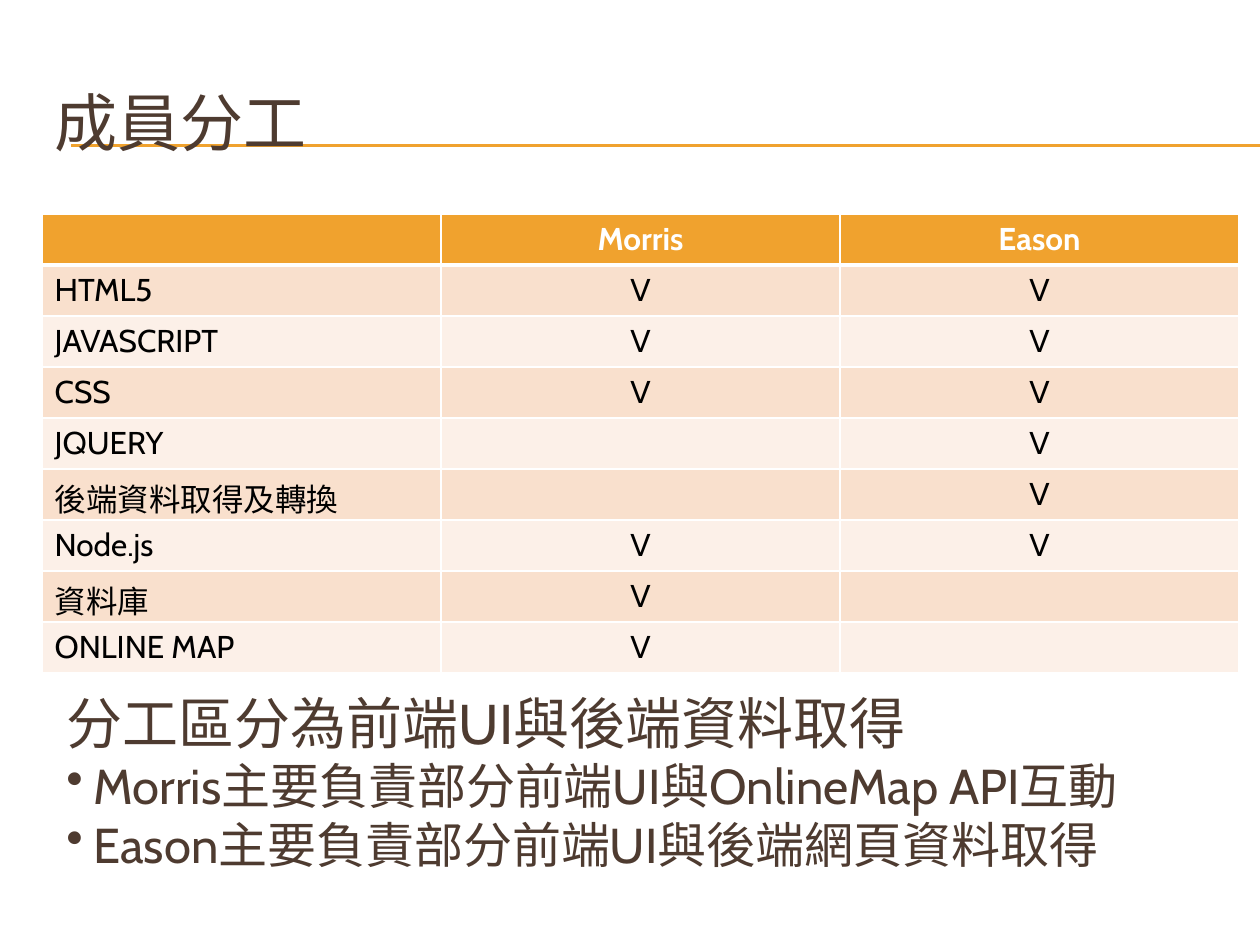
from dataclasses import dataclass

from lxml import etree
from pptx import Presentation
from pptx.dml.color import RGBColor
from pptx.enum.shapes import MSO_CONNECTOR
from pptx.enum.text import MSO_ANCHOR, PP_ALIGN
from pptx.oxml.ns import qn
from pptx.util import Emu, Pt

PX = 914400 // 126
LEFT, CENTER = PP_ALIGN.LEFT, PP_ALIGN.CENTER
TOP, MIDDLE = MSO_ANCHOR.TOP, MSO_ANCHOR.MIDDLE
STRAIGHT = MSO_CONNECTOR.STRAIGHT


@dataclass(frozen=True)
class Theme:
    font: str = "Cabin"
    ink: str = "4E3B30"
    cell_ink: str = "000000"
    accent: str = "F0A22E"
    white: str = "FFFFFF"
    bands: tuple = ("F9E0CD", "FCF0E8")
    title_size: int = 36
    lead_size: int = 32
    point_size: int = 28
    cell_size: int = 18
    rule_width: float = 0.75
    grid_width: int = 1
    header_rule_width: int = 3


def px(length):
    return Emu(length * PX)


def write(para, text, *, theme, size, color, bold=False, align=LEFT):
    para.alignment = align
    span = para.add_run()
    span.text = text
    span.font.name = theme.font
    span.font.size = Pt(size)
    span.font.bold = bold
    span.font.color.rgb = RGBColor.from_string(color)


def add_bullet(para, indent):
    properties = para._p.get_or_add_pPr()
    properties.set("marL", str(px(indent)))
    properties.set("indent", str(-px(indent)))
    etree.SubElement(properties, qn("a:buChar"), char="•")


def set_border(cell, side, width, color):
    line = etree.SubElement(cell._tc.get_or_add_tcPr(), qn(f"a:ln{side}"),
                            w=str(Pt(width)))
    fill = etree.SubElement(line, qn("a:solidFill"))
    etree.SubElement(fill, qn("a:srgbClr"), val=color)


class SlideBuilder:
    def __init__(self, slide, theme):
        self.slide = slide
        self.theme = theme

    def rule(self, left, right, y):
        line = self.slide.shapes.add_connector(
            STRAIGHT, px(left), px(y), px(right), px(y))
        line.line.color.rgb = RGBColor.from_string(self.theme.accent)
        line.line.width = Pt(self.theme.rule_width)
        etree.SubElement(line._element.spPr, qn("a:effectLst"))

    def text(self, left, top, width, height, lines, anchor=TOP):
        """Each line is (text, size, bullet indent or 0)."""
        box = self.slide.shapes.add_textbox(
            px(left), px(top), px(width), px(height))
        frame = box.text_frame
        frame.word_wrap = True
        frame.vertical_anchor = anchor
        for index, (text, size, indent) in enumerate(lines):
            para = frame.add_paragraph() if index else frame.paragraphs[0]
            write(para, text, theme=self.theme, size=size, color=self.theme.ink)
            if indent:
                add_bullet(para, indent)

    def table(self, left, top, width, row_height, rows):
        theme = self.theme
        grid = self.slide.shapes.add_table(
            len(rows), len(rows[0]), px(left), px(top), px(width),
            px(row_height * len(rows))).table
        for row_index, row in enumerate(rows):
            header = row_index == 0
            fill = theme.accent if header else theme.bands[(row_index - 1) % 2]
            for column_index, text in enumerate(row):
                cell = grid.cell(row_index, column_index)
                widths = dict.fromkeys("LRTB", theme.grid_width)
                if row_index < 2:
                    widths["B" if header else "T"] = theme.header_rule_width
                for side, line_width in widths.items():
                    set_border(cell, side, line_width, theme.white)
                cell.fill.solid()
                cell.fill.fore_color.rgb = RGBColor.from_string(fill)
                if text:
                    write(cell.text_frame.paragraphs[0], text, theme=theme,
                          size=theme.cell_size, bold=header,
                          color=theme.white if header else theme.cell_ink,
                          align=CENTER if column_index else LEFT)


def main():
    theme = Theme()
    deck = Presentation()
    deck.slide_width, deck.slide_height = px(1260), px(945)
    page = SlideBuilder(deck.slides.add_slide(deck.slide_layouts[6]), theme)

    # Double rule and title
    for y in (145, 146):
        page.rule(71, 1260, y)
    page.text(42, 63, 1197, 116, [("成員分工", theme.title_size, 0)], MIDDLE)

    # Who works on what
    page.table(42, 214, 1197, 51, [
        ("", "Morris", "Eason"),
        ("HTML5", "V", "V"),
        ("JAVASCRIPT", "V", "V"),
        ("CSS", "V", "V"),
        ("JQUERY", "", "V"),
        ("後端資料取得及轉換", "", "V"),
        ("Node.js", "V", "V"),
        ("資料庫", "V", ""),
        ("ONLINE MAP", "V", ""),
    ])

    # Summary of the split
    page.text(54, 682, 1181, 237, [
        ("分工區分為前端UI與後端資料取得", theme.lead_size, 0),
        ("Morris主要負責部分前端UI與OnlineMap API互動", theme.point_size, 27),
        ("Eason主要負責部分前端UI與後端網頁資料取得", theme.point_size, 27),
    ])

    deck.save("out.pptx")


if __name__ == "__main__":
    main()
